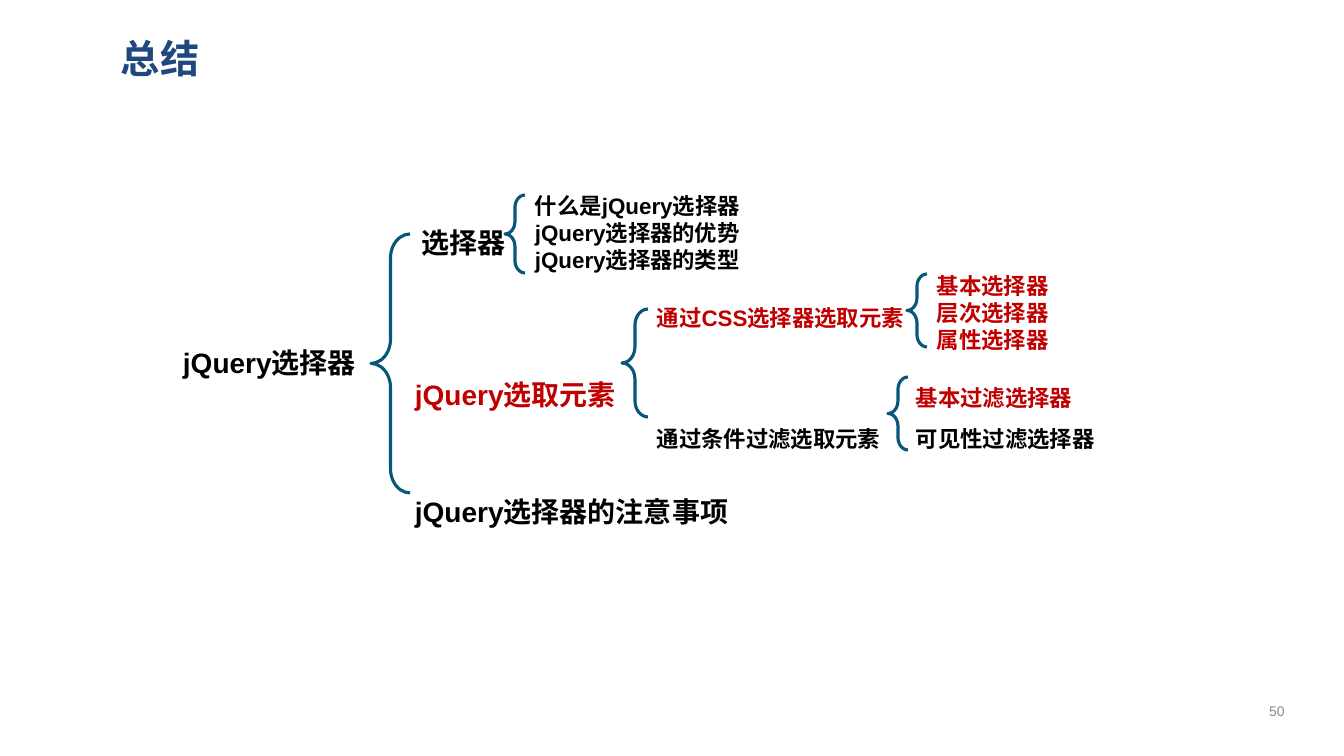
"""Build the summary slide: a bracket tree of jQuery selector topics."""
from lxml.etree import SubElement
from pptx import Presentation
from pptx.dml.color import RGBColor
from pptx.enum.shapes import MSO_SHAPE
from pptx.enum.text import MSO_ANCHOR, PP_ALIGN
from pptx.oxml.ns import qn
from pptx.util import Emu, Pt

COLORS = {"title": "1F497D", "text": "000000", "accent": "C00000",
          "brace": "08577A", "number": "8C8C8C"}
LATIN, CJK = "Arial", "Noto Sans CJK SC"
SLIDE_WIDTH, SLIDE_HEIGHT = 1344, 756
SCALE = 12192000 / SLIDE_WIDTH


def px(*lengths):
    return [Emu(round(length * SCALE)) for length in lengths]


def add_text(page, place, size, lines, font=LATIN, bold=True,
             anchor=MSO_ANCHOR.TOP, align=PP_ALIGN.LEFT):
    frame = page.shapes.add_textbox(*px(*place)).text_frame
    frame.word_wrap = True
    frame.vertical_anchor = anchor
    frame.text = "\n".join(text for text, color, spacing in lines)
    for para, (text, color, spacing) in zip(frame.paragraphs, lines):
        para.alignment = align
        para.line_spacing = spacing
        span = para.runs[0].font
        span.name, span.size, span.bold = font, Pt(size), bold
        span.color.rgb = RGBColor.from_string(COLORS[color])
        SubElement(para.runs[0]._r.get_or_add_rPr(), qn("a:ea"), typeface=CJK)


deck = Presentation()
deck.slide_width, deck.slide_height = px(SLIDE_WIDTH, SLIDE_HEIGHT)
page = deck.slides.add_slide(deck.slide_layouts[6])

add_text(page, (111, 24, 1174, 68), 28, [("总结", "title", 1.0)],
         font=CJK, anchor=MSO_ANCHOR.MIDDLE)
add_text(page, (1244, 691, 66, 40), 10, [("50", "number", 1.0)],
         bold=False, anchor=MSO_ANCHOR.MIDDLE, align=PP_ALIGN.CENTER)
add_text(page, (167, 341, 205, 44), 20, [("jQuery选择器", "text", 1.0)],
         align=PP_ALIGN.CENTER)

branches = [
    ((405, 221, 355, 292), 20, [(" 选择器", "text", 1.0),
                                ("jQuery选取元素", "accent", 4.5),
                                ("jQuery选择器的注意事项", "text", 3.5)]),
    ((525, 187, 278, 92), 16, [("什么是jQuery选择器", "text", 1.0),
                               ("jQuery选择器的优势", "text", 1.0),
                               ("jQuery选择器的类型", "text", 1.0)]),
    ((647, 299, 284, 134), 16, [("通过CSS选择器选取元素", "accent", 1.0),
                                ("通过条件过滤选取元素", "text", 4.5)]),
    ((927, 267, 170, 92), 16, [("基本选择器", "accent", 1.0),
                               ("层次选择器", "accent", 1.0),
                               ("属性选择器", "accent", 1.0)]),
    ((906, 366, 234, 87), 16, [("基本过滤选择器", "accent", 1.5),
                               ("可见性过滤选择器", "text", 1.5)]),
]
for place, size, lines in branches:
    add_text(page, place, size, lines)

braces = [(371, 234, 39, 259), (505, 195, 20, 78), (622, 309, 26, 108),
          (907, 274, 20, 73), (888, 377, 20, 73)]
for place in braces:
    brace = page.shapes.add_shape(MSO_SHAPE.LEFT_BRACE, *px(*place))
    brace.shadow.inherit = False
    brace.adjustments[0] = 0.62
    brace.fill.background()
    brace.line.color.rgb = RGBColor.from_string(COLORS["brace"])
    brace.line.width = Pt(2.25)

deck.save("out.pptx")
